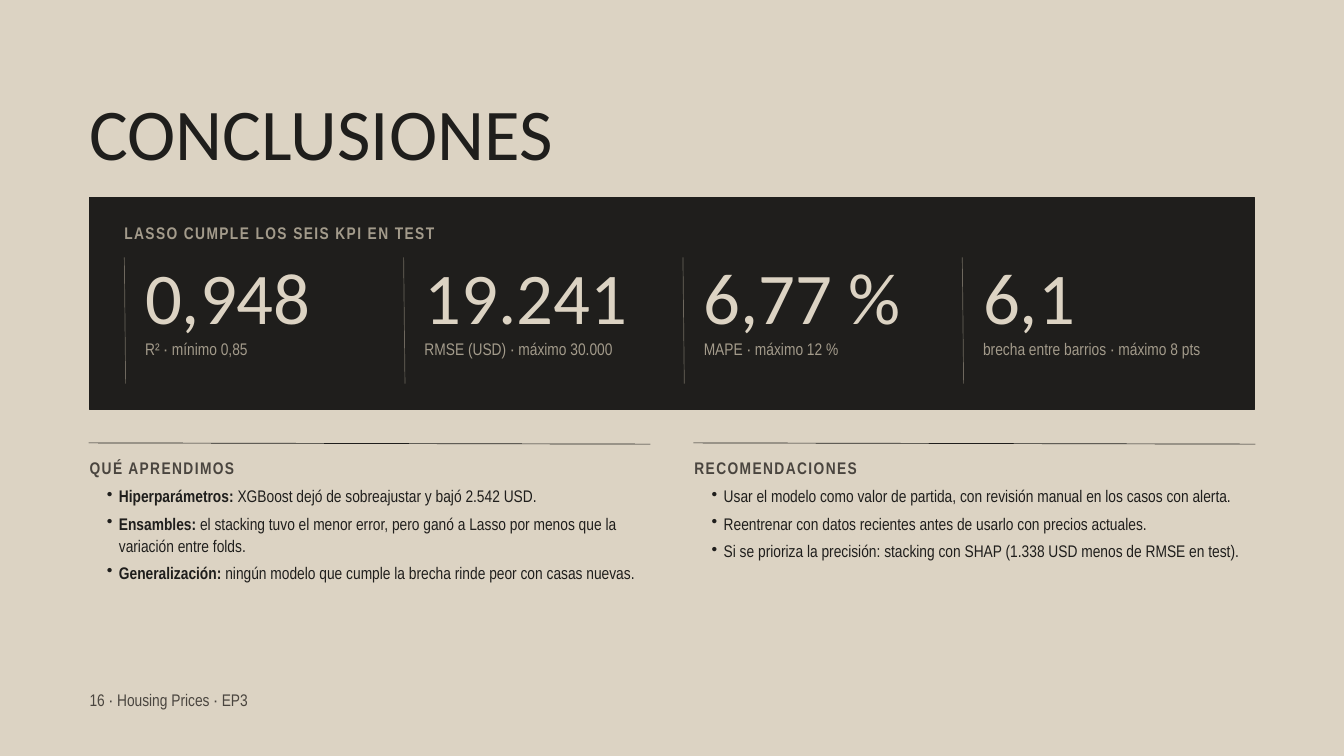
from dataclasses import dataclass

from lxml.etree import SubElement
from pptx import Presentation
from pptx.dml.color import RGBColor as Rgb
from pptx.enum.shapes import MSO_CONNECTOR as Link, MSO_SHAPE as Shape
from pptx.enum.text import MSO_AUTO_SIZE as Fit
from pptx.oxml.ns import qn
from pptx.util import Inches, Pt

INK = {
    "sand": "DCD3C3",
    "dark": "1F1E1C",
    "mute": "A39B8B",
    "rule": "6E685E",
    "soft": "4A453F",
}
SANS, SLIM = "Calibri", "Arial Narrow"
WIDE, HIGH, GRID = Inches(20), Inches(11.25), 60
LEFT, SPAN = 4, 52
PITCH = 12.47


@dataclass
class Box:
    col: float
    row: float
    cols: float
    rows: float

    def place(self) -> tuple[int, int, int, int]:
        return across(self.col), down(self.row), across(self.cols), down(self.rows)


@dataclass
class Style:
    font: str
    size: float
    ink: str
    lead: float
    bold: bool = False
    track: float = 0


@dataclass
class Metric:
    value: str
    label: str
    rows: float = 2.13


@dataclass
class Item:
    text: str
    head: str = ""


@dataclass
class Topic:
    col: float
    name: str
    items: list[Item]


TITLE = Style(SANS, 78, "dark", 85.8)
VALUE = Style(SANS, 78, "sand", 89.7)
LABEL = Style(SLIM, 18, "mute", 23.4)
BAND = Style(SLIM, 18, "mute", 21.6, True, 1.5)
HEAD = Style(SLIM, 18, "soft", 21.6, True, 1.5)
BODY = Style(SLIM, 18, "dark", 23.4)
FOOT = Style(SLIM, 18, "soft", 21.6)

METRICS = [
    Metric("0,948", "R² · mínimo 0,85"),
    Metric("19.241", "RMSE (USD) · máximo 30.000"),
    Metric("6,77 %", "MAPE · máximo 12 %"),
    Metric("6,1", "brecha entre barrios · máximo 8 pts", 3.84),
]
TOPICS = [
    Topic(LEFT, "QUÉ APRENDIMOS", [
        Item(" XGBoost dejó de sobreajustar y bajó 2.542 USD.", "Hiperparámetros:"),
        Item(" el stacking tuvo el menor error, pero ganó a Lasso por menos "
             "que la variación entre folds.", "Ensambles:"),
        Item(" ningún modelo que cumple la brecha rinde peor con casas nuevas.",
             "Generalización:"),
    ]),
    Topic(LEFT + 27, "RECOMENDACIONES", [
        Item("Usar el modelo como valor de partida, con revisión manual en los "
             "casos con alerta."),
        Item("Reentrenar con datos recientes antes de usarlo con precios actuales."),
        Item("Si se prioriza la precisión: stacking con SHAP (1.338 USD menos de "
             "RMSE en test)."),
    ]),
]


def across(cols: float) -> int:
    return round(WIDE * cols / GRID)


def down(rows: float) -> int:
    return round(HIGH * rows / GRID)


def tint(name: str) -> Rgb:
    return Rgb.from_string(INK[name])


def frame(slide, box: Box):
    text = slide.shapes.add_textbox(*box.place()).text_frame
    text.word_wrap = True
    text.auto_size = Fit.SHAPE_TO_FIT_TEXT
    text.margin_left = text.margin_right = text.margin_top = text.margin_bottom = 0
    return text


def dress(para, style: Style) -> None:
    para.line_spacing = Pt(style.lead)
    for run in para.runs:
        font = run.font
        font.name, font.size, font.bold = style.font, Pt(style.size), style.bold
        font.color.rgb = tint(style.ink)
        if style.track:
            run._r.get_or_add_rPr().set("spc", str(round(style.track * 100)))


def write(slide, box: Box, words: str, style: Style) -> None:
    text = frame(slide, box)
    text.text = words
    dress(text.paragraphs[0], style)


def bullet(para) -> None:
    props = para._p.get_or_add_pPr()
    props.set("marL", str(Inches(0.36)))
    props.set("indent", str(Inches(-0.18)))
    SubElement(props, qn("a:buChar")).set("char", "•")


def listing(slide, box: Box, items: list[Item]) -> None:
    text = frame(slide, box)
    for num, item in enumerate(items):
        para = text.add_paragraph() if num else text.paragraphs[0]
        para.text = item.head or item.text
        para.level = 1
        bullet(para)
        if item.head:
            para.add_run().text = item.text
        dress(para, BODY)
        if item.head:
            para.runs[0].font.bold = True
        if num:
            para.space_before = Pt(6)


def stroke(slide, start: tuple[float, float], end: tuple[float, float], ink: str) -> None:
    line = slide.shapes.add_connector(
        Link.STRAIGHT, across(start[0]), down(start[1]), across(end[0]), down(end[1]))
    line.line.color.rgb = tint(ink)
    line.line.width = Pt(0.75)
    SubElement(line._element.spPr, qn("a:effectLst"))


def panel(slide, box: Box) -> None:
    rect = slide.shapes.add_shape(Shape.RECTANGLE, *box.place())
    rect.shadow.inherit = False
    rect.fill.solid()
    rect.fill.fore_color.rgb = tint("dark")
    rect.line.color.rgb = tint("dark")
    rect.line.width = Pt(1.5)


def metric(slide, col: float, item: Metric) -> None:
    stroke(slide, (col, 20.43), (col + 0.06, 30.45), "rule")
    write(slide, Box(col + 0.93, 20.27, 10.8, 6.67), item.value, VALUE)
    write(slide, Box(col + 0.93, 26.77, 10.8, item.rows), item.label, LABEL)


def topic(slide, item: Topic) -> None:
    col = item.col
    stroke(slide, (col - 0.04, 35.15), (col + 25.04, 35.25), "dark")
    write(slide, Box(col, 36.32, 25.26, 1.87), item.name, HEAD)
    listing(slide, Box(col + 0.23, 38.45, 25.02, 10.13), item.items)


def main() -> None:
    deck = Presentation()
    deck.slide_width, deck.slide_height = WIDE, HIGH
    slide = deck.slides.add_slide(deck.slide_layouts[6])
    slide.background.fill.solid()
    slide.background.fill.fore_color.rgb = tint("sand")
    write(slide, Box(LEFT, 7.57, 53.55, 6.13), "CONCLUSIONES", TITLE)
    panel(slide, Box(LEFT, 15.68, SPAN, 16.8))
    inset = LEFT + 1.55
    write(slide, Box(inset, 17.71, 50.37, 1.87), "LASSO CUMPLE LOS SEIS KPI EN TEST", BAND)
    for num, item in enumerate(METRICS):
        metric(slide, inset + num * PITCH, item)
    for item in TOPICS:
        topic(slide, item)
    write(slide, Box(LEFT, 54.77, 28.98, 1.87), "16 · Housing Prices · EP3", FOOT)
    deck.save("out.pptx")


if __name__ == "__main__":
    main()
